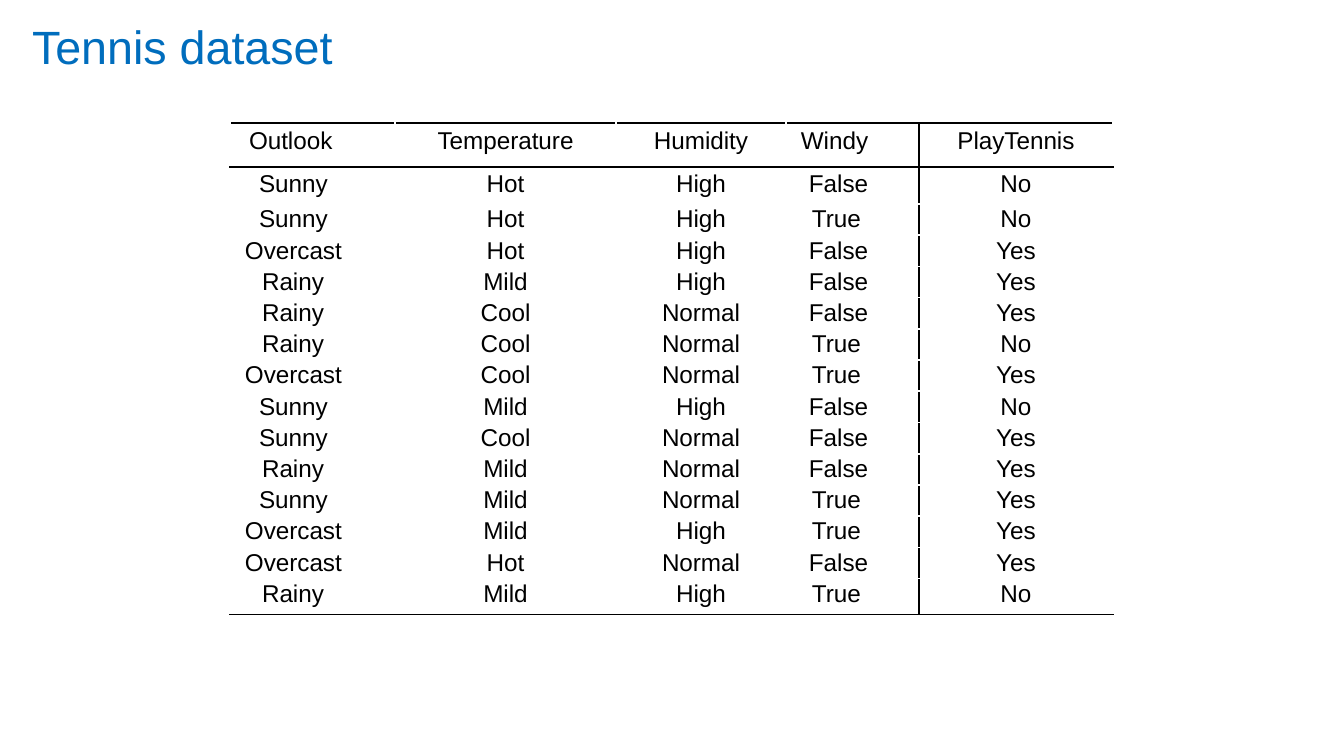
from lxml import etree
from pptx import Presentation
from pptx import util as u
from pptx.dml.color import RGBColor
from pptx.enum import text
from pptx.oxml.ns import qn

SCALE = 914400 / 134.4
COLUMNS = [165, 221, 170, 133, 194]
ROWS = [44, 37] + [31] * 12 + [36]
INDENTS = {"Outlook": 19, "Sunny": 29, "Overcast": 15, "Rainy": 32,
           "Windy": 15, "False": 23, "True": 26}
RECORDS = [line.split() for line in """\
Outlook Temperature Humidity Windy PlayTennis
Sunny Hot High False No
Sunny Hot High True No
Overcast Hot High False Yes
Rainy Mild High False Yes
Rainy Cool Normal False Yes
Rainy Cool Normal True No
Overcast Cool Normal True Yes
Sunny Mild High False No
Sunny Cool Normal False Yes
Rainy Mild Normal False Yes
Sunny Mild Normal True Yes
Overcast Mild High True Yes
Overcast Hot Normal False Yes
Rainy Mild High True No""".splitlines()]


def px(length):
    return u.Emu(round(length * SCALE))


def color(value):
    return RGBColor.from_string(value)


class SlideBuilder:
    """Holds the text style and the slide being built."""

    font = "Arial"
    ink = "000000"
    accent = "006DBD"

    def __init__(self, presentation):
        self.slide = presentation.slides.add_slide(presentation.slide_layouts[6])

    def label(self, paragraph, content, size, ink, indent=0):
        paragraph.text = content
        paragraph.font.name = self.font
        paragraph.font.size = u.Pt(size)
        paragraph.font.color.rgb = color(ink)
        if indent:
            paragraph.alignment = text.PP_ALIGN.LEFT
            paragraph._p.get_or_add_pPr().set("marL", str(px(indent)))
        else:
            paragraph.alignment = text.PP_ALIGN.CENTER

    def title(self, content, left, top, width, height):
        shape = self.slide.shapes.add_textbox(px(left), px(top), px(width), px(height))
        frame = shape.text_frame
        frame.word_wrap = True
        frame.auto_size = text.MSO_AUTO_SIZE.SHAPE_TO_FIT_TEXT
        frame.margin_left = frame.margin_right = frame.margin_bottom = 0
        frame.margin_top = px(4)
        self.label(frame.paragraphs[0], content, 25, self.accent, indent=4)

    def borders(self, cell, sides):
        properties = cell._tc.get_or_add_tcPr()
        for side in sides:
            line = etree.SubElement(properties, qn(f"a:ln{side}"), w=str(u.Pt(0.75)))
            fill = etree.SubElement(line, qn("a:solidFill"))
            etree.SubElement(fill, qn("a:srgbClr"), val=self.ink)

    def cell(self, cell, content, row, column):
        cell.margin_left = cell.margin_right = cell.margin_bottom = 0
        cell.margin_top = px({0: 5, 1: 4}.get(row, 0))
        paragraph = cell.text_frame.paragraphs[0]
        self.label(paragraph, content, 13, self.ink, INDENTS.get(content, 0))
        if row > 1:
            paragraph.line_spacing = 1.07
        target = len(COLUMNS) - 1
        ruled = {"L": column == target, "R": column == target - 1,
                 "T": row < 2, "B": row in (0, len(ROWS) - 1)}
        self.borders(cell, [side for side, shown in ruled.items() if shown])
        cell.fill.background()

    def table(self, records, left, top):
        shape = self.slide.shapes.add_table(
            len(ROWS), len(COLUMNS), px(left), px(top), px(sum(COLUMNS)), px(sum(ROWS)))
        table = shape.table
        table.first_row = table.horz_banding = False
        for column, width in zip(table.columns, COLUMNS):
            column.width = px(width)
        for row, height in zip(table.rows, ROWS):
            row.height = px(height)
        for row, record in enumerate(records):
            for column, content in enumerate(record):
                self.cell(table.cell(row, column), content, row, column)


def main():
    presentation = Presentation()
    presentation.slide_width = px(1344)
    presentation.slide_height = px(756)
    builder = SlideBuilder(presentation)
    builder.title("Tennis dataset", 28, 14, 321, 62)
    builder.table(RECORDS, 230, 123)
    presentation.save("out.pptx")


if __name__ == "__main__":
    main()
